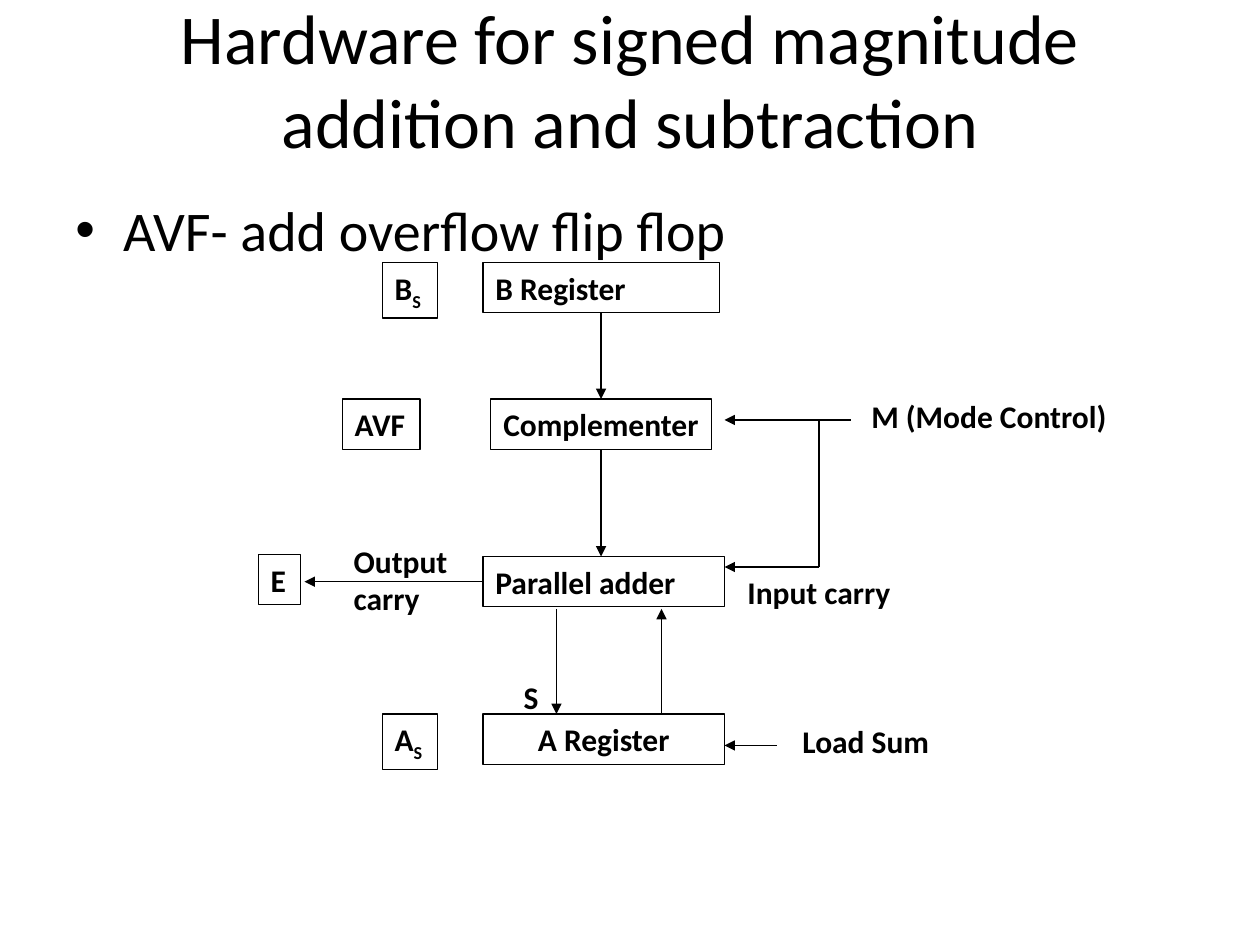
from dataclasses import dataclass

from lxml import etree
from pptx import Presentation
from pptx import util as u
from pptx.dml.color import RGBColor
from pptx.enum import shapes, text
from pptx.oxml import ns


@dataclass(frozen=True)
class Theme:
    ink: RGBColor = RGBColor(0, 0, 0)
    family: str = "Calibri"
    title: int = 40
    bullet: int = 32
    label: int = 18
    line: float = 0.75


THEME = Theme()
CELLS_PER_INCH = 12
ROW_HEIGHT = 4.8
TOP, LEFT, BOTTOM = 0, 1, 2

BLOCKS = {
    "B Register": (46, 25, 22.5, "l"),
    "Complementer": (46.75, 38, 21, "l"),
    "Parallel adder": (46, 53, 23, "l"),
    "A Register": (46, 68, 23, "c"),
}
FLAGS = [
    ("B", "S", 36.4, 25, 5.25, 5.3),
    ("AVF", "", 32.6, 38, 7.4, ROW_HEIGHT),
    ("E", "", 24.6, 52.8, 4, ROW_HEIGHT),
    ("A", "S", 36.4, 68, 5.25, 5.3),
]
LABELS = [
    ("Output\ncarry", 32.5, 51, 12, 8.4),
    ("S", 48.7, 64, 3.9, ROW_HEIGHT),
    ("Input carry", 70, 54, 16, ROW_HEIGHT),
    ("M (Mode Control)", 81.8, 37.2, 24.8, ROW_HEIGHT),
    ("Load Sum", 75.25, 68.2, 14.6, ROW_HEIGHT),
]
WIRES = [
    (81, 40, 69, 40, True),
    (74, 71, 69, 71, True),
    (53, 58, 53, 68, True),
    (63, 68, 63, 58, True),
    (78, 40, 78, 54, False),
    (78, 54, 69, 54, True),
]
JOINED_WIRES = [
    ("B Register", BOTTOM, "Complementer", TOP, 57.25, 38),
    ("Complementer", BOTTOM, None, None, 57.25, 53),
    ("Parallel adder", LEFT, None, None, 29, 55.4),
]


def grid(*cells):
    return [u.Inches(cell / CELLS_PER_INCH) for cell in cells]


def style(font, size, **extra):
    font.color.rgb = THEME.ink
    for name, value in {"name": THEME.family, "size": u.Pt(size), **extra}.items():
        setattr(font, name, value)


def write_label(shape, words, subscript="", wrap=False, align="l"):
    frame = shape.text_frame
    settings = {
        "text": words,
        "word_wrap": wrap,
        "auto_size": text.MSO_AUTO_SIZE.SHAPE_TO_FIT_TEXT,
        "vertical_anchor": text.MSO_ANCHOR.TOP,
    }
    for name, value in settings.items():
        setattr(frame, name, value)
    if subscript:
        span = frame.paragraphs[0].add_run()
        span.text = subscript
        span.font._element.set("baseline", "-25000")
    for para in frame.paragraphs:
        para.alignment = text.PP_ALIGN.CENTER if align == "c" else text.PP_ALIGN.LEFT
        for span in para.runs:
            style(span.font, THEME.label, bold=True)


def add_box(page, words, left, top, width, height, **options):
    box = page.shapes.add_shape(
        shapes.MSO_SHAPE.RECTANGLE, *grid(left, top, width, height))
    box.shadow.inherit = False
    box.fill.background()
    box.line.color.rgb = THEME.ink
    box.line.width = u.Pt(THEME.line)
    write_label(box, words, **options)
    return box


def add_label(page, words, *place):
    write_label(page.shapes.add_textbox(*grid(*place)), words)


def add_wire(page, x1, y1, x2, y2, arrow=True):
    wire = page.shapes.add_connector(
        shapes.MSO_CONNECTOR.STRAIGHT, *grid(x1, y1, x2, y2))
    wire.line.color.rgb = THEME.ink
    wire.line.width = u.Pt(THEME.line)
    if arrow:
        etree.SubElement(wire.line._get_or_add_ln(), ns.qn("a:tailEnd"), type="triangle")
    etree.SubElement(wire._element.spPr, ns.qn("a:effectLst"))
    return wire


def add_title(page, words):
    title = page.shapes.title
    place = dict(zip(("left", "top", "width", "height"), grid(6, 0, 108, 15)))
    for name, value in place.items():
        setattr(title, name, value)
    frame = title.text_frame
    frame.text = words
    frame.auto_size = text.MSO_AUTO_SIZE.NONE
    frame.vertical_anchor = text.MSO_ANCHOR.MIDDLE
    para = frame.paragraphs[0]
    para.alignment = text.PP_ALIGN.CENTER
    style(para.runs[0].font, THEME.title)


def add_bullet(page, words):
    frame = page.shapes.add_textbox(*grid(6, 18, 108, 59.4)).text_frame
    frame.word_wrap = True
    frame.text = words
    para = frame.paragraphs[0]
    props = para._p.get_or_add_pPr()
    indent = u.Inches(0.38)
    props.set("marL", str(indent))
    props.set("indent", str(-indent))
    etree.SubElement(props, ns.qn("a:buFont"), typeface="Arial")
    etree.SubElement(props, ns.qn("a:buChar"), char="•")
    style(para.runs[0].font, THEME.bullet)


def add_diagram(page):
    blocks = {
        words: add_box(page, words, left, top, width, ROW_HEIGHT,
                       wrap=words != "Complementer", align=align)
        for words, (left, top, width, align) in BLOCKS.items()
    }
    for words, subscript, *place in FLAGS:
        add_box(page, words, *place, subscript=subscript)
    for label in LABELS:
        add_label(page, *label)
    for wire in WIRES:
        add_wire(page, *wire)
    for source, exit_side, target, entry_side, x, y in JOINED_WIRES:
        wire = add_wire(page, x, y, x, y)
        wire.begin_connect(blocks[source], exit_side)
        if target:
            wire.end_connect(blocks[target], entry_side)


def main():
    deck = Presentation()
    deck.slide_width, deck.slide_height = u.Inches(10), u.Inches(7.5)
    page = deck.slides.add_slide(deck.slide_layouts.get_by_name("Title Only"))
    add_title(page, "Hardware for signed magnitude addition and subtraction")
    add_bullet(page, "AVF- add overflow flip flop")
    add_diagram(page)
    deck.save("out.pptx")


if __name__ == "__main__":
    main()
